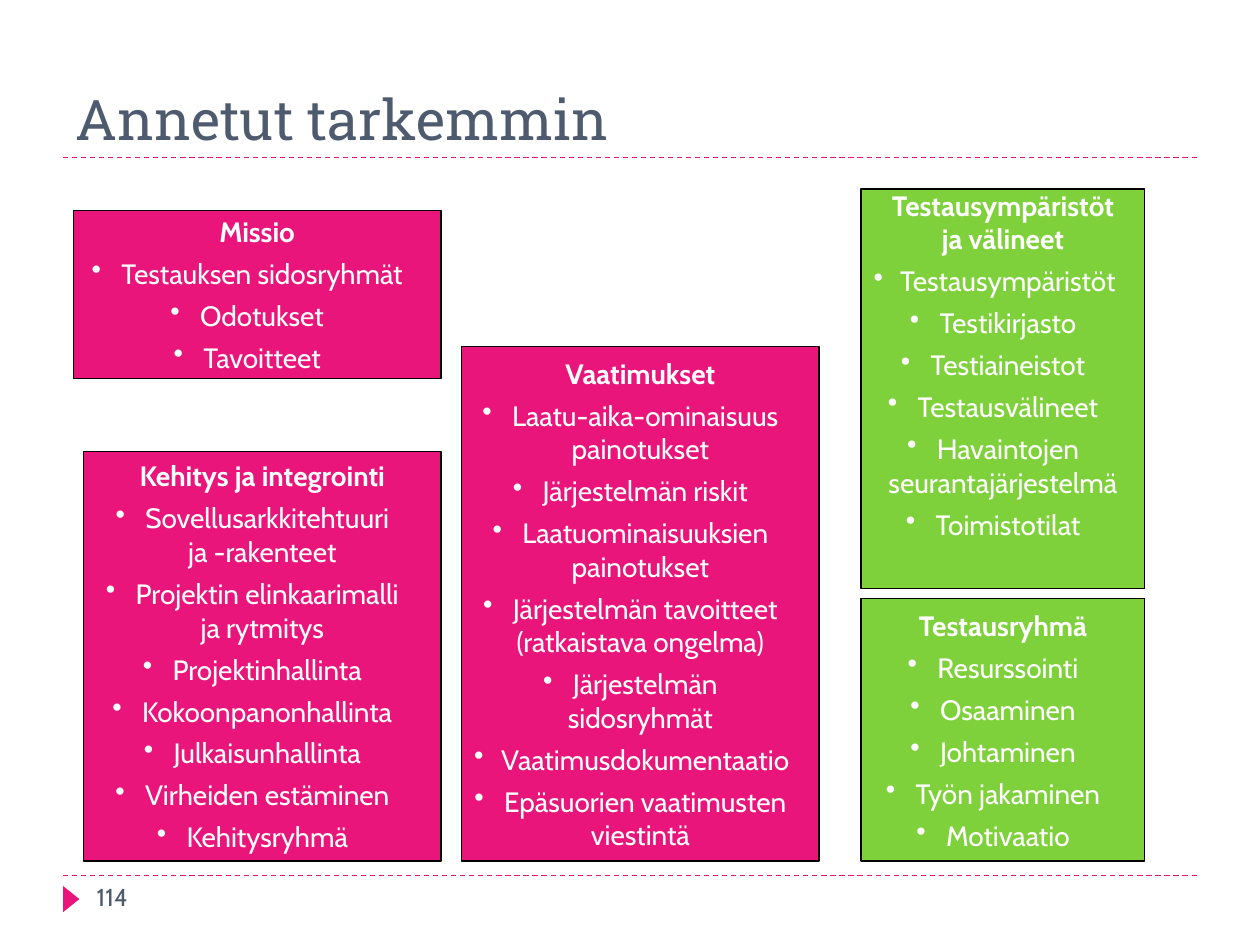
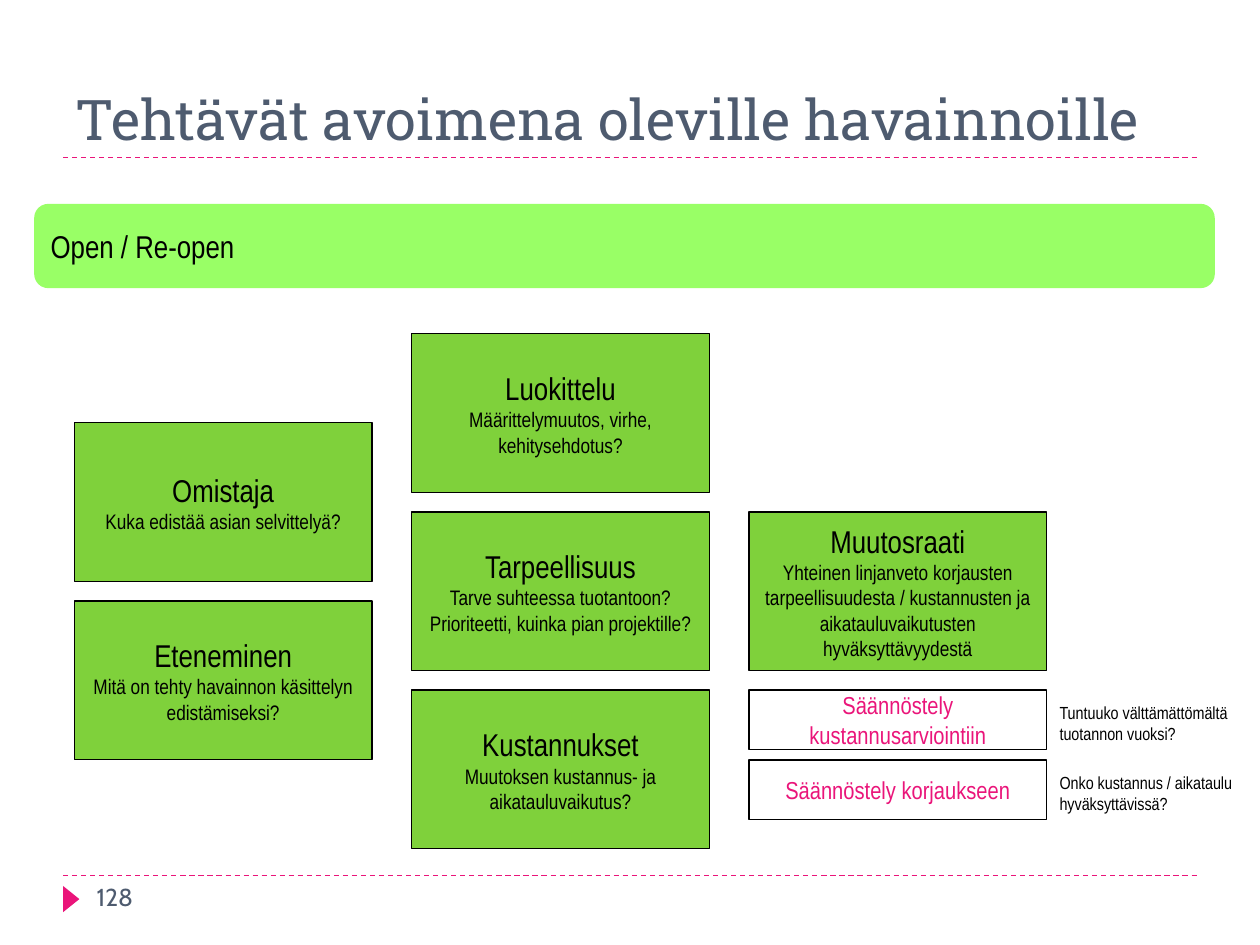
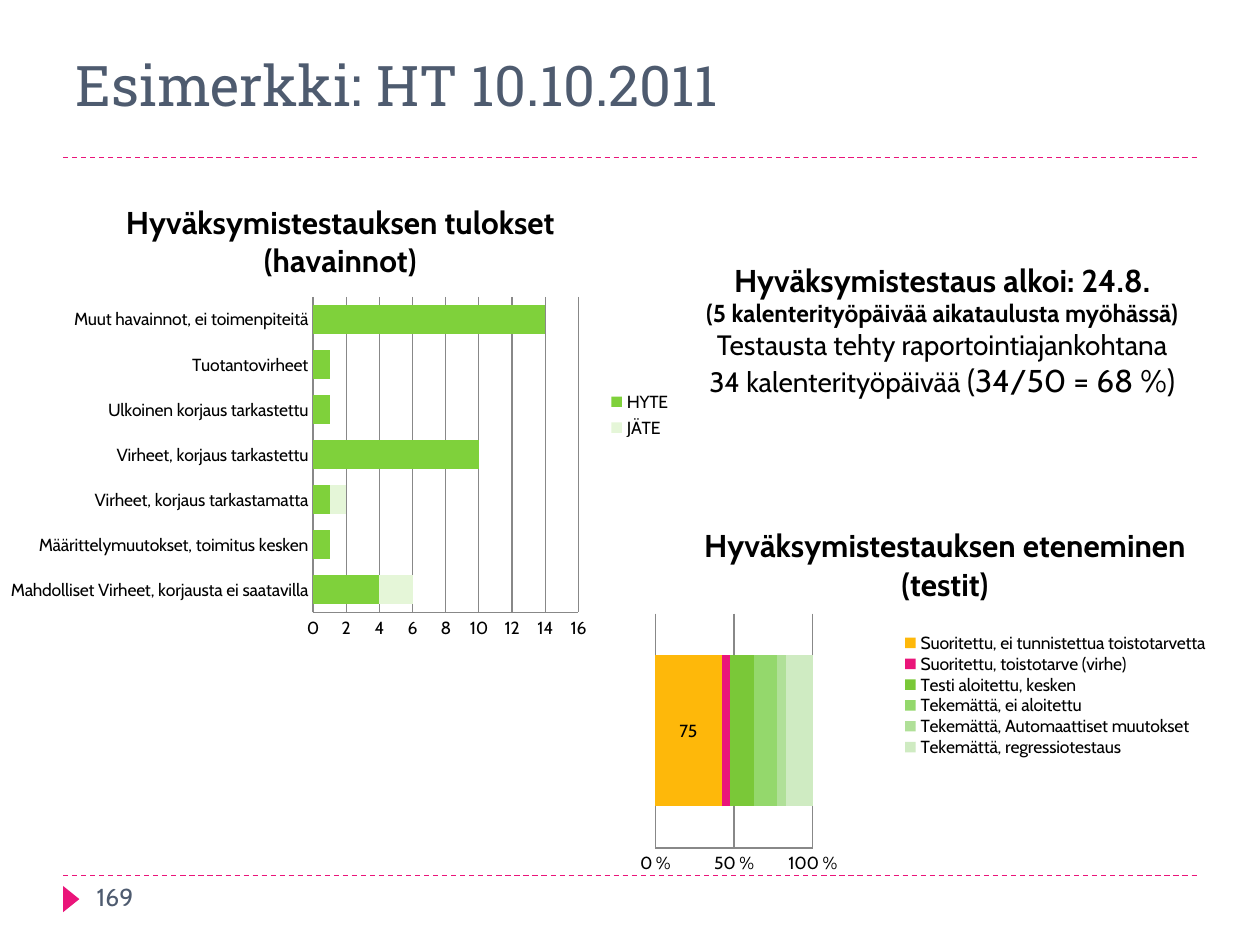
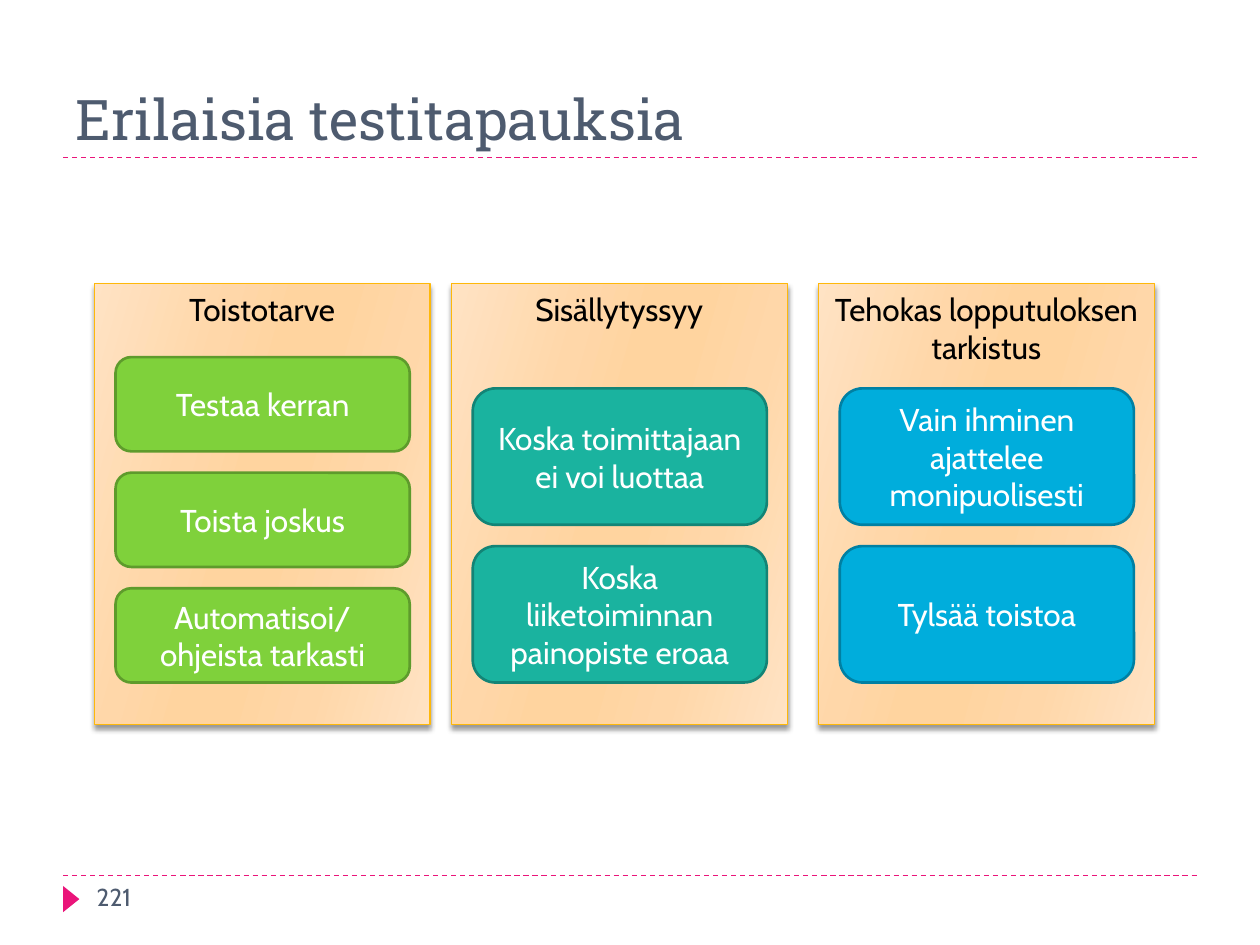
from lxml.etree import SubElement
from pptx import Presentation
from pptx.chart.data import CategoryChartData
from pptx.dml.color import RGBColor
from pptx.enum.chart import XL_CHART_TYPE, XL_LEGEND_POSITION, XL_TICK_MARK
from pptx.enum.dml import MSO_LINE
from pptx.enum.shapes import MSO_CONNECTOR, MSO_SHAPE
from pptx.enum.text import MSO_ANCHOR, MSO_AUTO_SIZE, PP_ALIGN
from pptx.oxml import parse_xml
from pptx.oxml.ns import nsdecls, qn
from pptx.util import Cm, Pt

PINK, GREEN, TEAL, BLUE, AMBER = "EA157A", "7FD13B", "1AB39F", "00ADDC", "FEB80A"
SLATE, BLACK, WHITE, GRID = "4E5B6F", "000000", "FFFFFF", "888888"
HEADING, BODY, NARROW = "Roboto Slab", "Cabin", "Arial Narrow"
PANEL_STOPS = [(0, "FFE3C4"), (30, "FFD7A9"), (45, "FFD49F"),
               (55, "FFD49F"), (73, "FFD7A9"), (100, "FFE3C4")]

GIVENS = [
    ((1.48, 4.24, 7.41, 3.39), PINK, "Missio",
     ["Testauksen sidosryhmät", "Odotukset", "Tavoitteet"]),
    ((1.69, 9.1, 7.2, 8.26), PINK, "Kehitys ja integrointi",
     ["Sovellusarkkitehtuuri\nja -rakenteet", "Projektin elinkaarimalli\nja rytmitys",
      "Projektinhallinta", "Kokoonpanonhallinta", "Julkaisunhallinta",
      "Virheiden estäminen", "Kehitysryhmä"]),
    ((9.31, 6.99, 7.2, 10.37), PINK, "Vaatimukset",
     ["Laatu-aika-ominaisuus\npainotukset", "Järjestelmän riskit",
      "Laatuominaisuuksien\npainotukset",
      "Järjestelmän tavoitteet\n(ratkaistava ongelma)", "Järjestelmän\nsidosryhmät",
      "Vaatimusdokumentaatio", "Epäsuorien vaatimusten\nviestintä"]),
    ((17.36, 12.07, 5.72, 5.29), GREEN, "Testausryhmä",
     ["Resurssointi", "Osaaminen", "Johtaminen", "Työn jakaminen", "Motivaatio"]),
]
ENVIRONMENTS = (
    (17.36, 3.81, 5.72, 8.05), GREEN, "Testausympäristöt\nja välineet",
    ["Testausympäristöt", "Testikirjasto", "Testiaineistot", "Testausvälineet",
     "Havaintojen\nseurantajärjestelmä", "Toimistotilat"])

TASKS = [
    (0, 0.5, "Omistaja", ["Kuka edistää asian selvittelyä?"]),
    (0, 1.5, "Eteneminen", ["Mitä on tehty havainnon käsittelyn edistämiseksi?"]),
    (1, 0, "Luokittelu", ["Määrittelymuutos, virhe, kehitysehdotus?"]),
    (1, 1, "Tarpeellisuus", ["Tarve suhteessa tuotantoon?",
                             "Prioriteetti, kuinka pian projektille?"]),
    (1, 2, "Kustannukset", ["Muutoksen kustannus- ja aikatauluvaikutus?"]),
    (2, 1, "Muutosraati", ["Yhteinen linjanveto korjausten tarpeellisuudesta / kustannusten "
                           "ja aikatauluvaikutusten hyväksyttävyydestä"]),
]
RATIONING = [
    ("Säännöstely kustannusarviointiin", "Tuntuuko välttämättömältä tuotannon vuoksi?"),
    ("Säännöstely korjaukseen", "Onko kustannus / aikataulu hyväksyttävissä?"),
]

FINDING_KINDS = [
    "Mahdolliset Virheet, korjausta ei saatavilla", "Määrittelymuutokset, toimitus kesken",
    "Virheet, korjaus tarkastamatta", "Virheet, korjaus tarkastettu",
    "Ulkoinen korjaus tarkastettu", "Tuotantovirheet", "Muut havainnot, ei toimenpiteitä"]
FINDINGS = [
    ("HYTE", [4, 1, 1, 10, 1, 1, 14], GREEN),
    ("JÄTE", [2, None, 1, None, None, None, None], "E5F6D8"),
]
PROGRESS = [
    ("Suoritettu, ei tunnistettua toistotarvetta", [75], AMBER),
    ("Suoritettu, toistotarve (virhe)", [9], PINK),
    ("Testi aloitettu, kesken", [28], "7AC838"),
    ("Tekemättä, ei aloitettu", [26], "94D86C"),
    ("Tekemättä, Automaattiset muutokset", [10], "B0E098"),
    ("Tekemättä, regressiotestaus", [30], "CFEBC2"),
]

TEST_CASE_PANELS = [
    (1.9, "Toistotarve", GREEN, "5E9B2C", 1.9,
     ["Testaa kerran", "Toista joskus", "Automatisoi/ ohjeista tarkasti"]),
    (9.1, "Sisällytyssyy", TEAL, "138476", 2.75,
     ["Koska toimittajaan ei voi luottaa", "Koska liiketoiminnan painopiste eroaa"]),
    (16.5, "Tehokas lopputuloksen tarkistus", BLUE, "0080A3", 2.75,
     ["Vain ihminen ajattelee monipuolisesti", "Tylsää toistoa"]),
]


def color(value):
    return RGBColor.from_string(value)


def style_font(font, name, size, shade, bold=False):
    font.name = name
    font.size = Pt(size)
    font.bold = bold
    font.color.rgb = color(shade)


def write(shape, lines, name, sizes, shade, align=PP_ALIGN.CENTER):
    frame = shape.text_frame
    frame.word_wrap = True
    for index, (line, size) in enumerate(zip(lines, sizes)):
        paragraph = frame.add_paragraph() if index else frame.paragraphs[0]
        paragraph.text = line
        paragraph.alignment = align
        for run in paragraph.runs:
            style_font(run.font, name, size, shade)


def block(slide, bounds, fill, outline=None, weight=0.75, kind=MSO_SHAPE.RECTANGLE):
    shape = slide.shapes.add_shape(kind, *map(Cm, bounds))
    shape.shadow.inherit = False
    shape.fill.solid()
    shape.fill.fore_color.rgb = color(fill)
    if outline:
        shape.line.color.rgb = color(outline)
        shape.line.width = Pt(weight)
    else:
        shape.line.fill.background()
    return shape


def label(slide, bounds, text, name, size, shade):
    box = slide.shapes.add_textbox(*map(Cm, bounds))
    write(box, [text], name, [size], shade, PP_ALIGN.LEFT)


def dashed_rule(slide, y):
    rule = slide.shapes.add_connector(
        MSO_CONNECTOR.STRAIGHT, Cm(1.27), Cm(y), Cm(24.13), Cm(y))
    rule.line.color.rgb = color(PINK)
    rule.line.width = Pt(0.75)
    rule.line.dash_style = MSO_LINE.DASH
    SubElement(rule.element.spPr, qn("a:effectLst"))


def new_slide(deck, heading, number, title_bounds=(1.27, 0.64, 22.86, 2.54)):
    slide = deck.slides.add_slide(deck.slide_layouts[5])
    dashed_rule(slide, 17.65)
    dashed_rule(slide, 3.18)
    marker = block(slide, (1.17, 17.96, 0.53, 0.33), PINK, kind=MSO_SHAPE.ISOSCELES_TRIANGLE)
    marker.rotation = 90
    title = slide.shapes.title
    title.left, title.top, title.width, title.height = map(Cm, title_bounds)
    title.text_frame.vertical_anchor = MSO_ANCHOR.BOTTOM
    title.text_frame.auto_size = MSO_AUTO_SIZE.NONE
    write(title, [heading], HEADING, [32], SLATE, PP_ALIGN.LEFT)
    label(slide, (1.7, 17.65, 5.51, 1.02), number, BODY, 14, SLATE)
    return slide


def bullet_card(slide, bounds, fill, heading, items):
    card = block(slide, bounds, fill, BLACK)
    write(card, [heading, *items], BODY, [16] * (len(items) + 1), WHITE)
    card.text_frame.word_wrap = False
    first, *rest = card.text_frame.paragraphs
    for run in first.runs:
        run.font.bold = True
    for paragraph in rest:
        paragraph.space_before = Pt(4.8)
        SubElement(paragraph._p.get_or_add_pPr(), qn("a:buChar")).set("char", "•")
    return card


def set_layout(parent, position, area, inner=False):
    for old in parent.findall(qn("c:layout")):
        parent.remove(old)
    layout = parse_xml(f"<c:layout {nsdecls('c')}><c:manualLayout/></c:layout>")
    settings = [("layoutTarget", "inner")] if inner else []
    settings += [("xMode", "edge"), ("yMode", "edge")]
    settings += zip("xywh", area)
    for tag, value in settings:
        SubElement(layout[0], qn(f"c:{tag}")).set("val", str(value))
    parent.insert(position, layout)


def stacked_bars(slide, kind, bounds, heading, categories, series,
                 plot_area, legend_area, step, number_format):
    data = CategoryChartData()
    data.categories = categories
    for name, values, _ in series:
        data.add_series(name, values)
    chart = slide.shapes.add_chart(kind, *map(Cm, bounds), data).chart
    style_font(chart.font, BODY, 10, BLACK)
    chart.has_title = True
    chart.chart_title.text_frame.text = heading
    style_font(chart.chart_title.text_frame.paragraphs[0].runs[0].font, BODY, 18, BLACK, True)
    chart.chart_title.include_in_layout = False

    chart.has_legend = True
    chart.legend.position = XL_LEGEND_POSITION.RIGHT
    chart.legend.include_in_layout = False
    plot = chart.plots[0]
    plot.gap_width = 55
    plot.overlap = 100
    plot.vary_by_categories = False
    for bars, (_, _, shade) in zip(plot.series, series):
        bars.format.fill.solid()
        bars.format.fill.fore_color.rgb = color(shade)

    for axis in (chart.category_axis, chart.value_axis):
        axis.major_tick_mark = axis.minor_tick_mark = XL_TICK_MARK.NONE
        axis.format.line.color.rgb = color(GRID)
    chart.category_axis.has_major_gridlines = False
    values = chart.value_axis
    values.has_major_gridlines = True
    values.major_gridlines.format.line.color.rgb = color(GRID)
    values.major_unit = step
    values.tick_labels.number_format = number_format
    values.tick_labels.number_format_is_linked = False

    set_layout(chart.element.chart.plotArea, 0, plot_area, inner=True)
    set_layout(chart.legend._element, 1, legend_area)
    return chart


def gradient_panel(slide, bounds, heading):
    panel = block(slide, bounds, WHITE, AMBER)
    panel.fill.gradient()
    panel.fill.gradient_angle = 344
    properties = panel.element.spPr
    stops = properties.find(".//" + qn("a:gsLst"))
    for stop in list(stops):
        stops.remove(stop)
    for percent, shade in PANEL_STOPS:
        stop = SubElement(stops, qn("a:gs"), pos=str(percent * 1000))
        SubElement(stop, qn("a:srgbClr"), val=shade)
    shadow = SubElement(properties.find(qn("a:effectLst")), qn("a:outerShdw"),
                        blurRad=str(Pt(3)), dist=str(Pt(2)), dir="5400000", rotWithShape="0")
    shadow_color = SubElement(shadow, qn("a:srgbClr"), val=BLACK)
    SubElement(shadow_color, qn("a:alpha"), val="40000")
    panel.text_frame.vertical_anchor = MSO_ANCHOR.TOP
    write(panel, [heading], BODY, [18], BLACK)


def givens_slide(deck):
    slide = new_slide(deck, "Annetut tarkemmin", "114")
    for given in GIVENS:
        bullet_card(slide, *given)
    environments = bullet_card(slide, *ENVIRONMENTS)
    environments.text_frame.margin_bottom = Cm(1.1)


def tasks_slide(deck):
    slide = new_slide(deck, "Tehtävät avoimena oleville havainnoille", "128")
    status = block(slide, (0.69, 4.11, 23.8, 1.7), "99FF66", kind=MSO_SHAPE.ROUNDED_RECTANGLE)
    write(status, ["Open / Re-open"], NARROW, [18], BLACK, PP_ALIGN.LEFT)
    left, top, column_step, row_step, width = 1.5, 6.73, 6.8, 3.59, 6
    for column, row, name, questions in TASKS:
        task = block(slide, (left + column * column_step, top + row * row_step, width, 3.2),
                     GREEN, BLACK)
        write(task, [name, *questions], NARROW, [18] + [12] * len(questions), BLACK)
    for index, (rule, question) in enumerate(RATIONING):
        y = top + 2 * row_step + index * 1.41
        rationing = block(slide, (left + 2 * column_step, y, width, 1.2), WHITE, BLACK)
        write(rationing, [rule], NARROW, [14], PINK)
        label(slide, (21.11, y + 0.11, 4.19, 1.09), question, NARROW, 10, BLACK)


def example_slide(deck):
    slide = new_slide(deck, "Esimerkki: HT 10.10.2011", "169", (1.27, 0.76, 22.86, 1.75))
    progress = stacked_bars(
        slide, XL_CHART_TYPE.BAR_STACKED_100, (12.7, 10.16, 12.7, 7.62),
        "Hyväksymistestauksen eteneminen (testit)", [" "], PROGRESS,
        (0.04, 0.29, 0.25, 0.62), (0.35, 0.34, 0.65, 0.33), 0.5, "0 %")
    done_labels = progress.plots[0].series[0].data_labels
    done_labels.show_value = True
    style_font(done_labels.font, BODY, 10, BLACK)

    status = slide.shapes.add_textbox(Cm(13.89), Cm(5.13), Cm(10.21), Cm(3.07))
    write(status, ["Hyväksymistestaus alkoi: 24.8.\n(5 kalenterityöpäivää aikataulusta myöhässä)",
                   "Testausta tehty raportointiajankohtana 34 kalenterityöpäivää "],
          BODY, [18, 16], BLACK)
    start, elapsed = status.text_frame.paragraphs
    for run, size in zip(start.runs, (18, 14)):
        style_font(run.font, BODY, size, BLACK, True)
    share = elapsed.add_run()
    share.text = "(34/50 = 68 %)"
    style_font(share.font, BODY, 18, BLACK)

    findings = stacked_bars(
        slide, XL_CHART_TYPE.BAR_STACKED, (0, 3.61, 13.72, 9.5),
        "Hyväksymistestauksen tulokset (havainnot)", FINDING_KINDS, FINDINGS,
        (0.46, 0.25, 0.39, 0.67), (0.88, 0.44, 0.12, 0.12), 2, "General")
    findings.value_axis.minimum_scale = 0
    findings.value_axis.maximum_scale = 16


def test_cases_slide(deck):
    slide = new_slide(deck, "Erilaisia testitapauksia", "221")
    gap, base = 0.43, 13.76
    for left, heading, fill, outline, height, cases in TEST_CASE_PANELS:
        gradient_panel(slide, (left, 5.72, 6.77, 8.89), heading)
        for remaining, case in zip(range(len(cases), 0, -1), cases):
            y = base + gap - remaining * (height + gap)
            card = block(slide, (left + gap, y, 5.93, height), fill, outline, 1.5,
                         MSO_SHAPE.ROUNDED_RECTANGLE)
            write(card, [case], BODY, [18], WHITE)


def main():
    deck = Presentation()
    deck.slide_width, deck.slide_height = Cm(25.4), Cm(19.05)
    givens_slide(deck)
    tasks_slide(deck)
    example_slide(deck)
    test_cases_slide(deck)
    deck.save("out.pptx")


if __name__ == "__main__":
    main()
